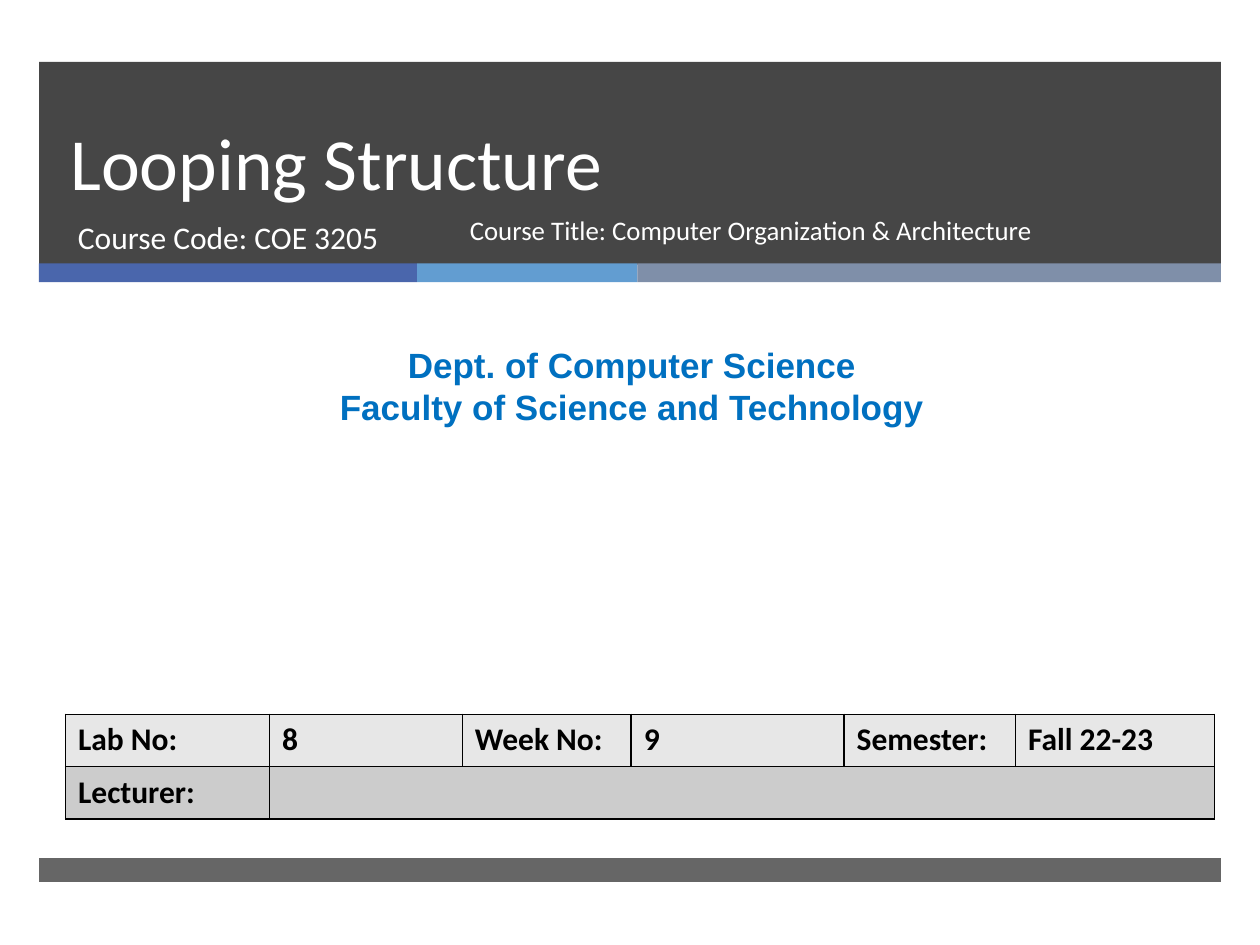
import pptx
import pptx.util
import pptx.dml.color
import pptx.enum.shapes
import pptx.enum.text
import pptx.oxml
import pptx.oxml.ns
import lxml.etree

Inches = pptx.util.Inches
Pt = pptx.util.Pt
RGBColor = pptx.dml.color.RGBColor
PP_ALIGN = pptx.enum.text.PP_ALIGN
MSO_ANCHOR = pptx.enum.text.MSO_ANCHOR
qn = pptx.oxml.ns.qn

WHITE = RGBColor(0xFF, 0xFF, 0xFF)
BLACK = RGBColor(0x00, 0x00, 0x00)
CHARCOAL = RGBColor(0x26, 0x26, 0x26)
INDIGO = RGBColor(0x4A, 0x66, 0xAC)
SKY = RGBColor(0x62, 0x9D, 0xD1)
SLATE = RGBColor(0x7F, 0x8F, 0xA9)
BLUE = RGBColor(0x00, 0x70, 0xC0)
LIGHT_GREY = RGBColor(0xE7, 0xE7, 0xE7)
MID_GREY = RGBColor(0xCC, 0xCC, 0xCC)


def write_paragraph(paragraph, text, color, font_format, paragraph_format):
    run = paragraph.add_run()
    run.text = text
    run.font.color.rgb = color
    for name, value in font_format.items():
        setattr(run.font, name, value)
    for name, value in paragraph_format.items():
        setattr(paragraph, name, value)


presentation = pptx.Presentation()
presentation.slide_width = Inches(10)
presentation.slide_height = Inches(7.5)
slide = presentation.slides.add_slide(presentation.slide_layouts[6])

bands = [
    (0.31, 0.49, 9.38, 1.61, CHARCOAL, 85),
    (0.31, 2.09, 3, 0.15, INDIGO, 100),
    (3.31, 2.09, 1.75, 0.15, SKY, 100),
    (5.06, 2.09, 4.63, 0.15, SLATE, 100),
    (0.31, 6.81, 9.38, 0.19, CHARCOAL, 70),
]
for left, top, width, height, color, opacity in bands:
    shape = slide.shapes.add_shape(
        pptx.enum.shapes.MSO_SHAPE.RECTANGLE,
        Inches(left), Inches(top), Inches(width), Inches(height))
    shape.shadow.inherit = False
    shape.line.fill.background()
    shape.fill.solid()
    shape.fill.fore_color.rgb = color
    if opacity < 100:
        color_element = shape.fill._xPr.find(qn("a:solidFill"))[0]
        alpha = lxml.etree.SubElement(color_element, qn("a:alpha"))
        alpha.set("val", str(opacity * 1000))

text_boxes = [
    (0.46, 0.49, 8.54, 1.19, MSO_ANCHOR.BOTTOM, ["Looping Structure"], WHITE,
     {"name": "Calibri", "size": Pt(42)}, {"line_spacing": Pt(46)}),
    (0.52, 1.68, 3.05, 0.53, MSO_ANCHOR.TOP, ["Course Code: COE 3205"], WHITE,
     {"name": "Calibri", "size": Pt(18)}, {}),
    (0.08, 2.68, 9.87, 0.77, MSO_ANCHOR.TOP,
     ["Dept. of Computer Science", "Faculty of Science and Technology"], BLUE,
     {"name": "Arial", "size": Pt(20), "bold": True}, {"alignment": PP_ALIGN.CENTER}),
    (3.63, 1.68, 4.69, 0.53, MSO_ANCHOR.TOP,
     ["Course Title: Computer Organization & Architecture"], WHITE,
     {"name": "Calibri", "size": Pt(15.3)}, {"line_spacing": 0.9}),
]
for left, top, width, height, anchor, lines, color, font_format, paragraph_format in text_boxes:
    text_frame = slide.shapes.add_textbox(
        Inches(left), Inches(top), Inches(width), Inches(height)).text_frame
    text_frame.word_wrap = True
    text_frame.vertical_anchor = anchor
    for index, line in enumerate(lines):
        paragraph = text_frame.add_paragraph() if index else text_frame.paragraphs[0]
        write_paragraph(paragraph, line, color, font_format, paragraph_format)

column_widths = [1.62, 1.53, 1.34, 1.69, 1.36, 1.58]
rows = [
    (["Lab No:", "8", "Week No:", "9", "Semester:", "Fall 22-23"], LIGHT_GREY),
    (["Lecturer:", "", "", "", "", ""], MID_GREY),
]
table = slide.shapes.add_table(
    len(rows), len(column_widths),
    Inches(0.52), Inches(5.67), Inches(9.12), Inches(0.83)).table
for column, width in zip(table.columns, column_widths):
    column.width = Inches(width)
for row_index, (texts, fill_color) in enumerate(rows):
    table.rows[row_index].height = Inches(0.415)
    for column_index, text in enumerate(texts):
        cell = table.cell(row_index, column_index)
        if text:
            write_paragraph(cell.text_frame.paragraphs[0], text, BLACK,
                            {"name": "Calibri", "size": Pt(18), "bold": True}, {})
        properties = cell._tc.get_or_add_tcPr()
        for side in ("lnL", "lnR", "lnT", "lnB"):
            border = lxml.etree.SubElement(properties, qn(f"a:{side}"), w=str(Pt(1)))
            border_fill = lxml.etree.SubElement(border, qn("a:solidFill"))
            lxml.etree.SubElement(border_fill, qn("a:srgbClr"), val=str(BLACK))
        cell.fill.solid()
        cell.fill.fore_color.rgb = fill_color
table.cell(1, 1).merge(table.cell(1, 5))

presentation.save("out.pptx")
